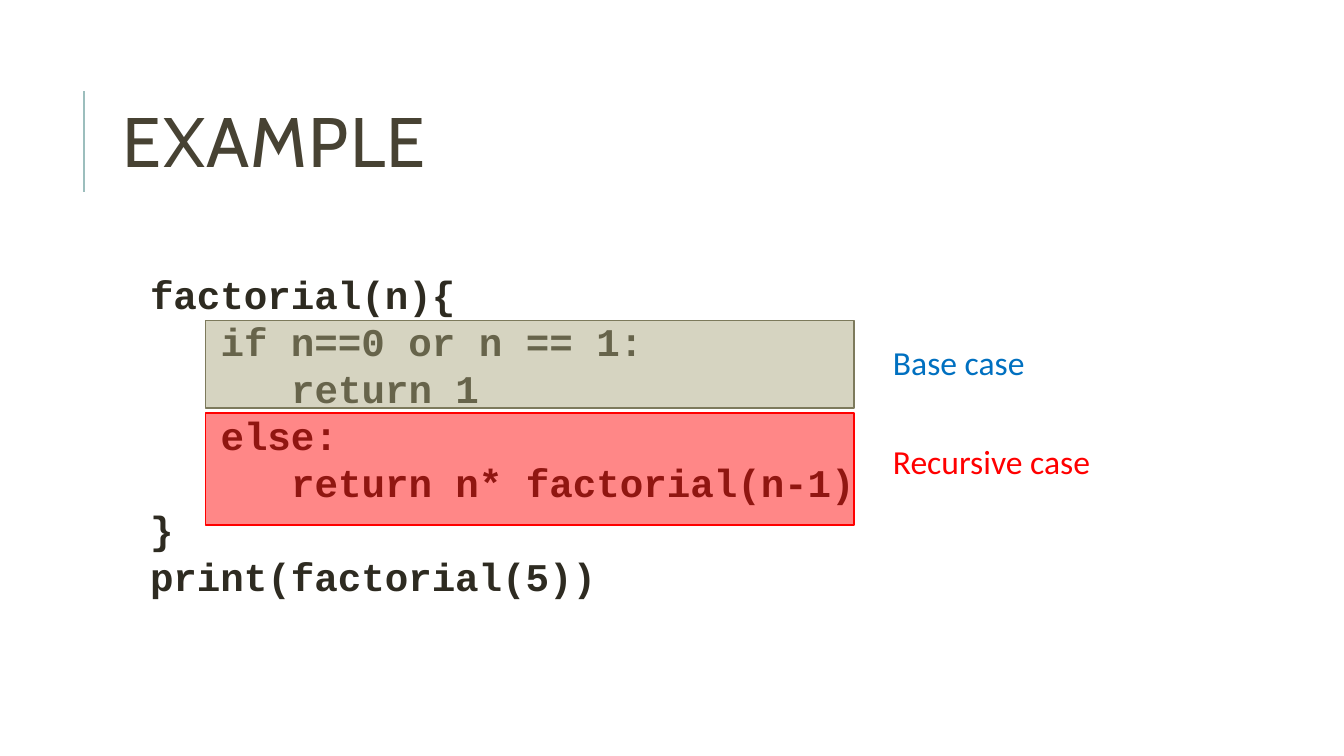
from pptx import Presentation
from pptx.dml.color import RGBColor
from pptx.enum.shapes import MSO_CONNECTOR, MSO_SHAPE
from pptx.enum.text import MSO_ANCHOR, MSO_AUTO_SIZE, PP_ALIGN
from pptx.oxml.ns import qn
from pptx.util import Pt
from lxml.etree import SubElement

TEAL = RGBColor(0x9C, 0xBE, 0xBD)
BROWN = RGBColor(0x47, 0x42, 0x33)
INK = RGBColor(0x2E, 0x2B, 0x21)
OLIVE = RGBColor(0xA9, 0xA5, 0x7C)
DARK_OLIVE = RGBColor(0x7D, 0x7A, 0x5C)
RED = RGBColor(0xFF, 0x00, 0x00)
BLUE = RGBColor(0x00, 0x70, 0xC0)


def style(paragraph, name, size, color, bold=False):
    font = paragraph.font
    font.name, font.size, font.bold = name, Pt(size), bold
    font.color.rgb = color


presentation = Presentation()
presentation.slide_width = Pt(960)
presentation.slide_height = Pt(540)
slide = presentation.slides.add_slide(presentation.slide_layouts[5])
shapes = slide.shapes

title_rule = shapes.add_connector(
    MSO_CONNECTOR.STRAIGHT, Pt(60), Pt(136.8), Pt(60), Pt(64.8))
title_rule.line.color.rgb = TEAL
title_rule.line.width = Pt(1.5)
SubElement(title_rule._element.spPr, qn("a:effectLst"))

title = shapes.title
title.left, title.top, title.width, title.height = Pt(80.64), Pt(46.08), Pt(765.36), Pt(118.08)
title.text_frame.text = "EXAMPLE"
title.text_frame.auto_size = MSO_AUTO_SIZE.NONE
title.text_frame.vertical_anchor = MSO_ANCHOR.MIDDLE
heading = title.text_frame.paragraphs[0]
heading.alignment = PP_ALIGN.LEFT
heading.line_spacing = 0.8
style(heading, "Cabin", 50, BROWN)
heading.runs[0].font._element.set("spc", "100")

code_lines = [
    (0, "factorial(n){"),
    (1, "if n==0 or n == 1:"),
    (2, "return 1"),
    (1, "else:"),
    (2, "return n* factorial(n-1)"),
    (0, "}"),
    (0, "print(factorial(5))"),
]
INDENT = Pt(50.4)
code = shapes.add_textbox(Pt(100.08), Pt(189.36), Pt(707.76), Pt(244.8)).text_frame
code.word_wrap = True
for index, (depth, statement) in enumerate(code_lines):
    paragraph = code.add_paragraph() if index else code.paragraphs[0]
    paragraph.text = statement
    paragraph._p.get_or_add_pPr().set("marL", str(depth * INDENT))
    style(paragraph, "Courier New", 28, INK, bold=True)

cases = [
    ("Base case", 228.96, 62.64, 240.48, OLIVE, DARK_OLIVE, BLUE),
    ("Recursive case", 295.2, 79.92, 311.76, RED, RED, RED),
]
for case, top, height, label_top, fill, outline, label_color in cases:
    highlight = shapes.add_shape(
        MSO_SHAPE.RECTANGLE, Pt(146.88), Pt(top), Pt(462.96), Pt(height))
    highlight.shadow.inherit = False
    highlight.fill.solid()
    highlight.fill.fore_color.rgb = fill
    fill_color = highlight._element.spPr.find(qn("a:solidFill"))[0]
    SubElement(fill_color, qn("a:alpha"), val="47000")
    highlight.line.color.rgb = outline
    highlight.line.width = Pt(1.25)

    label = shapes.add_textbox(Pt(630.72), Pt(label_top), Pt(167.04), Pt(36)).text_frame
    label.word_wrap = True
    label.text = case
    style(label.paragraphs[0], "Calibri", 24, label_color)

presentation.save("out.pptx")
